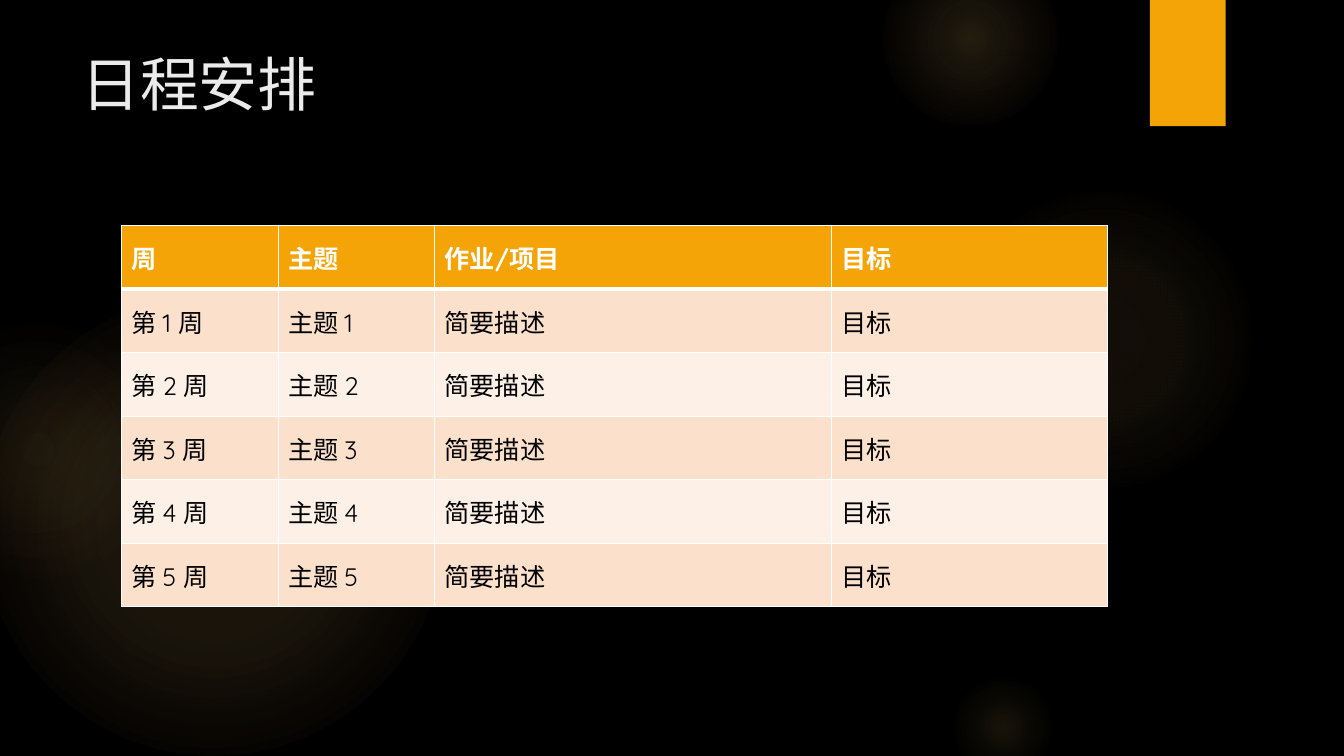
from dataclasses import dataclass

from lxml import etree
from pptx import Presentation
from pptx.dml.color import RGBColor
from pptx.enum.shapes import MSO_SHAPE
from pptx.enum.text import MSO_ANCHOR
from pptx.oxml import parse_xml
from pptx.oxml.ns import qn
from pptx.util import Cm, Pt

OVAL = MSO_SHAPE.OVAL
RECTANGLE = MSO_SHAPE.RECTANGLE
TOP = MSO_ANCHOR.TOP
MIDDLE = MSO_ANCHOR.MIDDLE
DRAWING = "http://schemas.openxmlformats.org/drawingml/2006/main"


@dataclass(frozen=True)
class Theme:
    font: str = "Quicksand"
    background: str = "000000"
    accent: str = "F5A408"
    glow: str = "FAC96A"
    warm_glow: str = "F59B74"
    title: str = "EBEBEB"
    header: str = "FFFFFF"
    body: str = "000000"
    border: str = "FFFFFF"
    bands: tuple = ("FBE0CC", "FDF0E7")
    title_size: int = 42
    table_size: int = 18
    thin: int = 1
    thick: int = 3


THEME = Theme()

# Left, top, diameter in cm; then stops of position %, colour, opacity %
GLOWS = [
    (-0.43, 7.42, 11.63, [(0, THEME.glow, 11), (36, THEME.glow, 10), (75, THEME.glow, 0)]),
    (-2.34, 8.05, 6.55, [(0, THEME.glow, 8), (36, THEME.glow, 5), (71, THEME.warm_glow, 0)]),
    (23.9, 4.65, 7.82, [(0, THEME.glow, 7), (36, THEME.glow, 6), (69, THEME.glow, 0)]),
    (22.23, -1.27, 4.45, [(0, THEME.glow, 14), (36, THEME.glow, 7), (73, THEME.glow, 0)]),
    (23.9, 16.94, 2.74, [(0, THEME.glow, 10), (31, THEME.glow, 5), (66, THEME.glow, 0)]),
]
HEADERS = ["周", "主题", "作业/项目", "目标"]
WEEKS = [[f"第 {week} 周", f"主题 {week}", "简要描述", "目标"] for week in range(1, 6)]
COLUMN_WIDTHS = [3.94, 3.94, 10, 6.96]
ROW_HEIGHT = 1.6


def color(value):
    return RGBColor.from_string(value)


def add_plain_shape(page, kind, left, top, width, height):
    shape = page.shapes.add_shape(kind, Cm(left), Cm(top), Cm(width), Cm(height))
    shape.line.fill.background()
    shape.shadow.inherit = False
    return shape


def add_glow(page, left, top, diameter, stops):
    glow = add_plain_shape(page, OVAL, left, top, diameter, diameter)
    glow.fill.background()
    stop_xml = "".join(
        f'<a:gs pos="{position * 1000}"><a:srgbClr val="{tint}">'
        f'<a:alpha val="{opacity * 1000}"/></a:srgbClr></a:gs>'
        for position, tint, opacity in stops
    )
    gradient = parse_xml(
        f'<a:gradFill xmlns:a="{DRAWING}" rotWithShape="1"><a:gsLst>{stop_xml}</a:gsLst>'
        '<a:path path="circle"><a:fillToRect l="50000" t="50000" r="50000" b="50000"/>'
        "</a:path></a:gradFill>"
    )
    properties = glow.element.spPr
    properties.replace(properties.find(qn("a:noFill")), gradient)


def add_ribbon(page):
    ribbon = add_plain_shape(page, RECTANGLE, 28.98, 0, 1.91, 3.18)
    ribbon.fill.solid()
    ribbon.fill.fore_color.rgb = color(THEME.accent)
    effects = ribbon.element.spPr.find(qn("a:effectLst"))
    shadow = etree.SubElement(effects, qn("a:outerShdw"), blurRad=str(Pt(3)),
                              dist=str(Pt(2)), dir="5400000", rotWithShape="0")
    tint = etree.SubElement(shadow, qn("a:srgbClr"), val="000000")
    etree.SubElement(tint, qn("a:alpha"), val="45000")


def add_text(para, text, size, tint, bold=False):
    span = para.add_run()
    span.text = text
    span.font.name = THEME.font
    span.font.size = Pt(size)
    span.font.bold = bold
    span.font.color.rgb = color(tint)


def add_title(page, text):
    box = page.shapes.add_textbox(Cm(1.8), Cm(1.27), Cm(26.14), Cm(3.89))
    frame = box.text_frame
    frame.word_wrap = True
    frame.vertical_anchor = TOP
    para = frame.paragraphs[0]
    para.line_spacing = 0.9
    add_text(para, text, THEME.title_size, THEME.title)


def set_borders(cell, widths):
    properties = cell._tc.get_or_add_tcPr()
    for index, (side, width) in enumerate(widths.items()):
        line = etree.Element(qn(f"a:ln{side}"), w=str(Pt(width)))
        fill = etree.SubElement(line, qn("a:solidFill"))
        etree.SubElement(fill, qn("a:srgbClr"), val=THEME.border)
        properties.insert(index, line)


def fill_cell(cell, text, row):
    is_header = row == 0
    cell.vertical_anchor = MIDDLE
    cell.fill.solid()
    cell.fill.fore_color.rgb = color(THEME.accent if is_header else THEME.bands[(row - 1) % 2])
    tint = THEME.header if is_header else THEME.body
    add_text(cell.text_frame.paragraphs[0], text, THEME.table_size, tint, is_header)
    widths = dict.fromkeys("LRTB", THEME.thin)
    if is_header:
        widths["B"] = THEME.thick
    elif row == 1:
        widths["T"] = THEME.thick
    set_borders(cell, widths)


def add_schedule(page, rows):
    frame = page.shapes.add_table(len(rows), len(COLUMN_WIDTHS), Cm(3.07), Cm(5.69),
                                  Cm(sum(COLUMN_WIDTHS)), Cm(ROW_HEIGHT * len(rows)))
    table = frame.table
    for column, width in zip(table.columns, COLUMN_WIDTHS):
        column.width = Cm(width)
    for row, texts in enumerate(rows):
        table.rows[row].height = Cm(ROW_HEIGHT)
        for column, text in enumerate(texts):
            fill_cell(table.cell(row, column), text, row)


def main():
    deck = Presentation()
    deck.slide_width, deck.slide_height = Cm(33.87), Cm(19.05)
    page = deck.slides.add_slide(deck.slide_layouts[6])

    # Backdrop
    page.background.fill.solid()
    page.background.fill.fore_color.rgb = color(THEME.background)
    for glow in GLOWS:
        add_glow(page, *glow)
    add_ribbon(page)

    # Content
    add_title(page, "日程安排")
    add_schedule(page, [HEADERS, *WEEKS])

    deck.save("out.pptx")


main()
